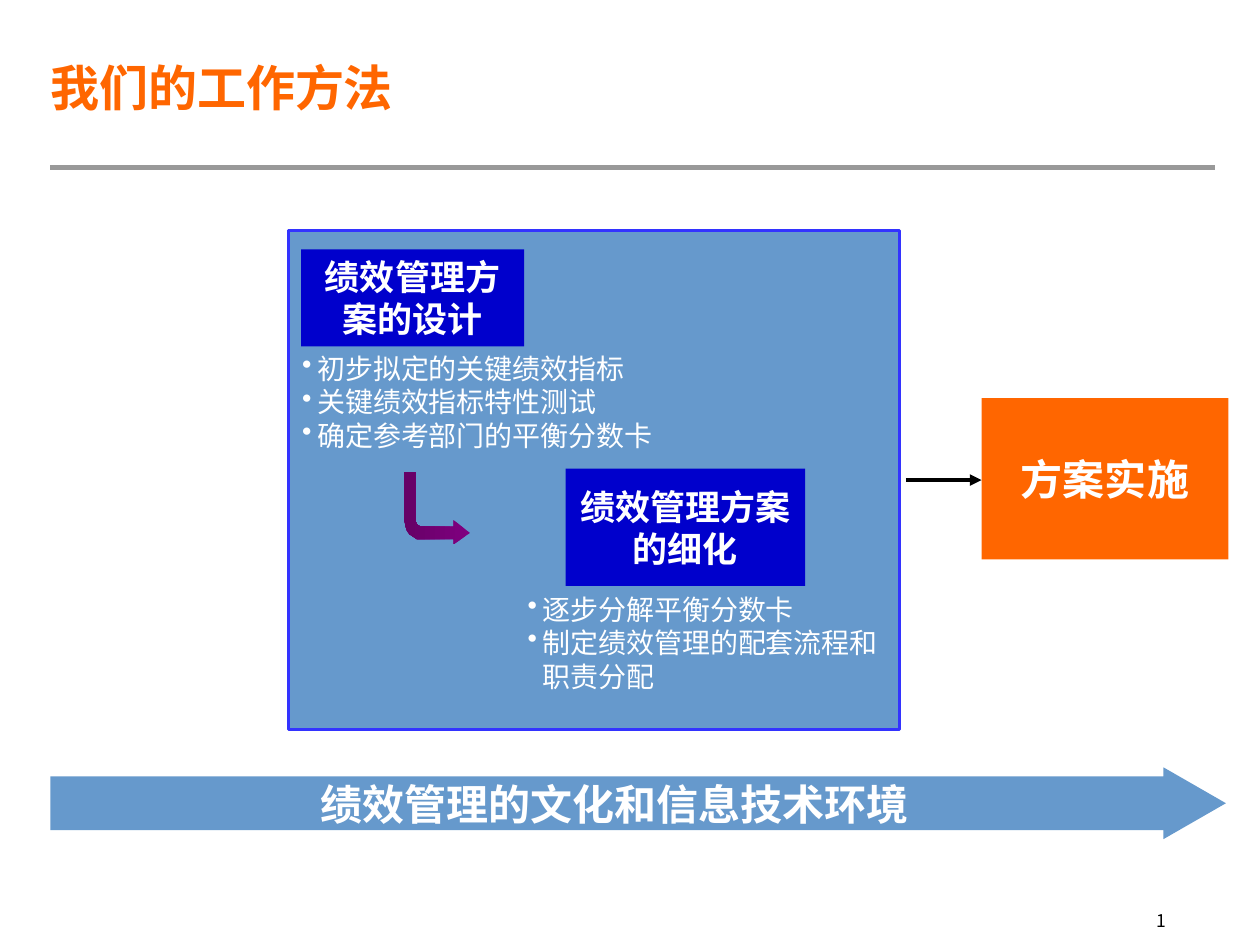
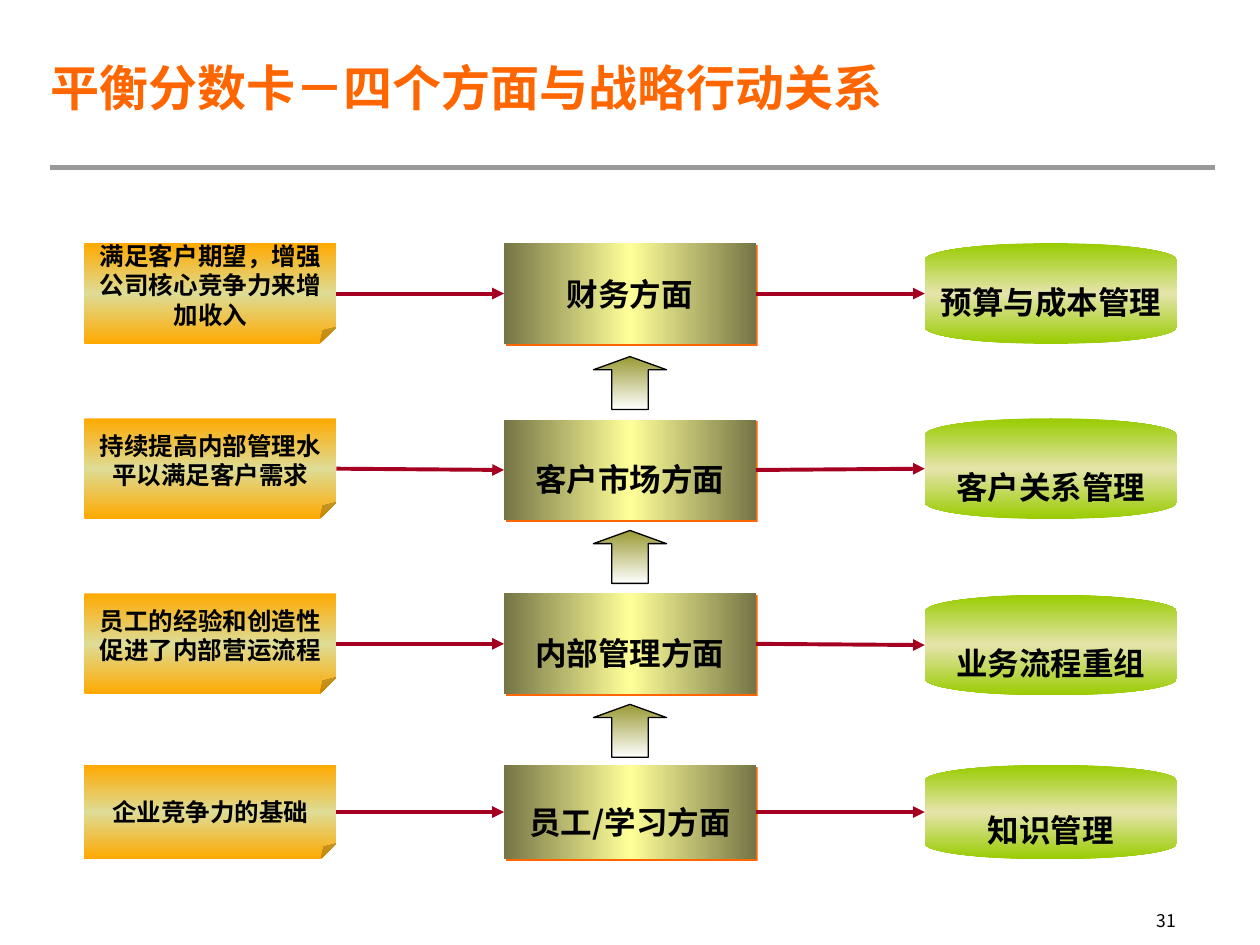
from dataclasses import dataclass
from typing import Optional, Union

from lxml.etree import SubElement as Sub
from pptx import Presentation
from pptx.dml.color import RGBColor as Rgb
from pptx.enum.shapes import MSO_CONNECTOR as Link, MSO_SHAPE as Kind
from pptx.enum.text import MSO_ANCHOR as Anchor, PP_ALIGN as Align
from pptx.oxml.ns import qn
from pptx.util import Inches, Pt

# Shared colours and fonts
WHITE = Rgb(0xFF, 0xFF, 0xFF)
BLACK = Rgb(0x00, 0x00, 0x00)
ORANGE = Rgb(0xFF, 0x66, 0x00)
GREY = Rgb(0x99, 0x99, 0x99)
STEEL = Rgb(0x66, 0x99, 0xCC)
NAVY = Rgb(0x00, 0x00, 0xCC)
BLUE = Rgb(0x33, 0x33, 0xFF)
PURPLE = Rgb(0x80, 0x00, 0x80)
PLUM = Rgb(0x66, 0x00, 0x66)
RED = Rgb(0xA5, 0x00, 0x21)
OLIVE = Rgb(0x75, 0x75, 0x46)
LEMON = Rgb(0xFF, 0xFF, 0x99)
MOSS = Rgb(0x99, 0x99, 0x33)
LIME = Rgb(0x99, 0xCC, 0x00)
CREAM = Rgb(0xE5, 0xE4, 0xAB)
AMBER = Rgb(0xFE, 0xA9, 0x00)
SAND = Rgb(0xDE, 0xDC, 0x96)
HAN = "Noto Sans CJK SC"


@dataclass(frozen=True)
class Box:
    x: float
    y: float
    w: float
    h: float

    @property
    def mid(self) -> float:
        return self.y + self.h / 2

    @property
    def right(self) -> float:
        return self.x + self.w

    def span(self) -> tuple:
        return tuple(Inches(n) for n in (self.x, self.y, self.w, self.h))


@dataclass(frozen=True)
class Grad:
    stops: tuple
    angle: int


@dataclass(frozen=True)
class Row:
    tops: tuple  # note, box, disk
    high: float
    note: str
    topic: str
    deed: str


@dataclass(frozen=True)
class Col:
    kind: Kind
    x: float
    fill: Grad
    size: int


# Drawing helpers
def write(shape, text: str, *, size: float, color: Rgb = WHITE, bold: bool = True,
          font: str = HAN, align: Align = Align.CENTER, anchor: Anchor = Anchor.MIDDLE,
          wrap: bool = True, pad: bool = True, dots: bool = False,
          lead: Optional[float] = None) -> None:
    """Put text in a shape, one paragraph a line."""
    frame = shape.text_frame
    frame.word_wrap, frame.vertical_anchor = wrap, anchor
    frame.margin_left = frame.margin_right = Inches(0.1 if pad else 0)
    frame.margin_top = frame.margin_bottom = Inches(0.05 if pad else 0)
    for n, line in enumerate(text.split("\n")):
        para = frame.paragraphs[0] if n == 0 else frame.add_paragraph()
        para.alignment = align
        if lead:
            para.line_spacing = lead
        if dots:
            props = para._p.get_or_add_pPr()
            props.set("marL", str(Inches(0.12)))
            props.set("indent", str(-Inches(0.12)))
            Sub(props, qn("a:buChar")).set("char", "•")
        run = para.add_run()
        run.text = line
        face = run.font
        face.name, face.size, face.bold = font, Pt(size), bold
        face.color.rgb = color
        Sub(run._r.get_or_add_rPr(), qn("a:ea")).set("typeface", HAN)


def blend(shape, grad: Grad) -> None:
    """Fill a shape with evenly spaced colour stops."""
    shape.fill.background()
    blank = shape._element.spPr.find(qn("a:noFill"))
    fill = blank.makeelement(qn("a:gradFill"), {"rotWithShape": "1"})
    stops = Sub(fill, qn("a:gsLst"))
    for n, color in enumerate(grad.stops):
        stop = Sub(stops, qn("a:gs"), pos=str(n * 100000 // (len(grad.stops) - 1)))
        Sub(stop, qn("a:srgbClr"), val=str(color))
    Sub(fill, qn("a:lin"), ang=str(grad.angle * 60000), scaled="0")
    blank.getparent().replace(blank, fill)


def paint(shape, fill: Union[Rgb, Grad], edge: Optional[Rgb] = None,
          width: float = 1) -> None:
    shape.shadow.inherit = False
    if isinstance(fill, Grad):
        blend(shape, fill)
    else:
        shape.fill.solid()
        shape.fill.fore_color.rgb = fill
    if edge is None:
        shape.line.fill.background()
    else:
        shape.line.color.rgb = edge
        shape.line.width = Pt(width)


def draw(slide, kind: Kind, box: Box, fill: Union[Rgb, Grad],
         edge: Optional[Rgb] = None, width: float = 1, adjust: tuple = ()):
    shape = slide.shapes.add_shape(kind, *box.span())
    for n, part in enumerate(adjust):
        shape.adjustments[n] = part
    paint(shape, fill, edge, width)
    return shape


def label(slide, box: Box, text: str, **form) -> None:
    write(slide.shapes.add_textbox(*box.span()), text, **form)


def rule(slide, start: tuple, end: tuple, color: Rgb, width: float,
         head: bool = True) -> None:
    ends = [Inches(n) for n in start + end]
    line = slide.shapes.add_connector(Link.STRAIGHT, *ends)
    line.line.color.rgb = color
    line.line.width = Pt(width)
    if head:
        Sub(line.line._get_or_add_ln(), qn("a:tailEnd"), type="triangle")
    Sub(line._element.spPr, qn("a:effectLst"))


def shade(shape, color: Rgb) -> None:
    """Add a thin hard shadow to the lower right."""
    effect = shape._element.spPr.find(qn("a:effectLst"))
    cast = Sub(effect, qn("a:outerShdw"), blurRad="0", dist=str(Pt(1.4)),
               dir=str(45 * 60000), algn="ctr", rotWithShape="0")
    Sub(cast, qn("a:srgbClr"), val=str(color))


def start(deck, title: str, page: int):
    """Add a slide with its title, rule and page number."""
    slide = deck.slides.add_slide(deck.slide_layouts[6])
    rule(slide, (0.4, 1.33), (9.64, 1.33), GREY, 2.5, head=False)
    label(slide, Box(9.08, 7.17, 0.86, 0.3), str(page), size=10, color=BLACK,
          bold=False, align=Align.LEFT, anchor=Anchor.TOP)
    label(slide, Box(0.4, 0.19, 9.25, 1), title, size=28, color=ORANGE,
          font="Arial", align=Align.LEFT, pad=False)
    return slide


# Slide: working method
STEPS = (
    (Box(2.39, 1.98, 1.77, 0.77), "绩效管理方案的设计", Anchor.TOP,
     Box(2.3, 2.74, 3.31, 0.9),
     "初步拟定的关键绩效指标\n关键绩效指标特性测试\n确定参考部门的平衡分数卡"),
    (Box(4.49, 3.72, 1.9, 0.93), "绩效管理方案的细化", Anchor.MIDDLE,
     Box(4.09, 4.65, 3, 1.2),
     "逐步分解平衡分数卡\n制定绩效管理的配套流程和职责分配"),
)
# Outline of the bent arrow, in hundredths of an inch
BEND = (
    (360, 432), (373, 423), (360, 413), (360, 418), (334, 418), (332, 417),
    (331, 416), (330, 414), (330, 412), (330, 375), (321, 375), (321, 413),
    (322, 418), (323, 421), (325, 424), (328, 426), (331, 428), (334, 428),
    (360, 428),
)


def method(deck) -> None:
    slide = start(deck, "我们的工作方法", 1)
    base = draw(slide, Kind.RIGHT_ARROW, Box(0.4, 6.09, 9.33, 0.57), STEEL,
                adjust=(0.75, 0.87))
    write(base, "绩效管理的文化和信息技术环境", size=24, wrap=False)
    draw(slide, Kind.RECTANGLE, Box(2.29, 1.83, 4.85, 3.96), STEEL, BLUE, 2)

    # Steps and their tasks
    for place, name, anchor, area, tasks in STEPS:
        head = draw(slide, Kind.RECTANGLE, place, NAVY)
        write(head, name, size=20, anchor=anchor)
        label(slide, area, tasks, size=16, bold=False, align=Align.LEFT,
              anchor=Anchor.TOP, dots=True)
    path = slide.shapes.build_freeform(*BEND[0], scale=Inches(0.01))
    path.add_line_segments(BEND[1:], close=True)
    paint(path.convert_to_shape(), Grad((PURPLE, PLUM), 180))

    # Outcome
    goal = draw(slide, Kind.RECTANGLE, Box(7.79, 3.16, 1.96, 1.28), ORANGE)
    write(goal, "方案实施", size=24)
    rule(slide, (7.19, 3.81), (7.79, 3.81), BLACK, 2.25)


# Slide: four perspectives
COLS = (
    Col(Kind.FOLDED_CORNER, 0.67, Grad((AMBER, SAND, AMBER), 90), 14),
    Col(Kind.RECTANGLE, 4, Grad((OLIVE, LEMON, OLIVE), 0), 18),
    Col(Kind.FLOWCHART_MAGNETIC_DISK, 7.34, Grad((LIME, CREAM, LIME), 90), 18),
)
ROWS = (
    Row((1.93, 1.93, 1.93), 0.8, "满足客户期望，增强公司核心竞争力来增加收入",
        "财务方面", "预算与成本管理"),
    Row((3.32, 3.33, 3.32), 0.8, "持续提高内部管理水平以满足客户需求",
        "客户市场方面", "客户关系管理"),
    Row((4.71, 4.71, 4.72), 0.8, "员工的经验和创造性促进了内部营运流程",
        "内部管理方面", "业务流程重组"),
    Row((6.07, 6.07, 6.07), 0.75, "企业竞争力的基础",
        "员工/学习方面", "知识管理"),
)


def score(deck) -> None:
    slide = start(deck, "平衡分数卡－四个方面与战略行动关系", 31)
    for n, row in enumerate(ROWS):
        cells = [Box(col.x, top, 2, row.high) for col, top in zip(COLS, row.tops)]
        for col, cell, text in zip(COLS, cells, (row.note, row.topic, row.deed)):
            shape = draw(slide, col.kind, cell, col.fill)
            note = col is COLS[0]
            last = n == len(ROWS) - 1
            loose = last if note else n > 0
            write(shape, text, size=col.size, color=BLACK, wrap=note and not last,
                  lead=1.5 if loose else None)
            if col.kind == Kind.RECTANGLE:
                shade(shape, ORANGE)
        for left, right in zip(cells, cells[1:]):
            rule(slide, (left.right, left.mid), (right.x, right.mid), RED, 2.25)

    # Upward arrows between the rows
    for n in range(len(ROWS) - 1):
        draw(slide, Kind.UP_ARROW, Box(4.71, 2.83 + n * 1.38, 0.58, 0.42),
             Grad((MOSS, WHITE), 90), BLACK, 0.75, adjust=(0.5, 0.25))


def main() -> None:
    deck = Presentation()
    deck.slide_width, deck.slide_height = Inches(10), Inches(7.5)
    method(deck)
    score(deck)
    deck.save("out.pptx")


if __name__ == "__main__":
    main()
